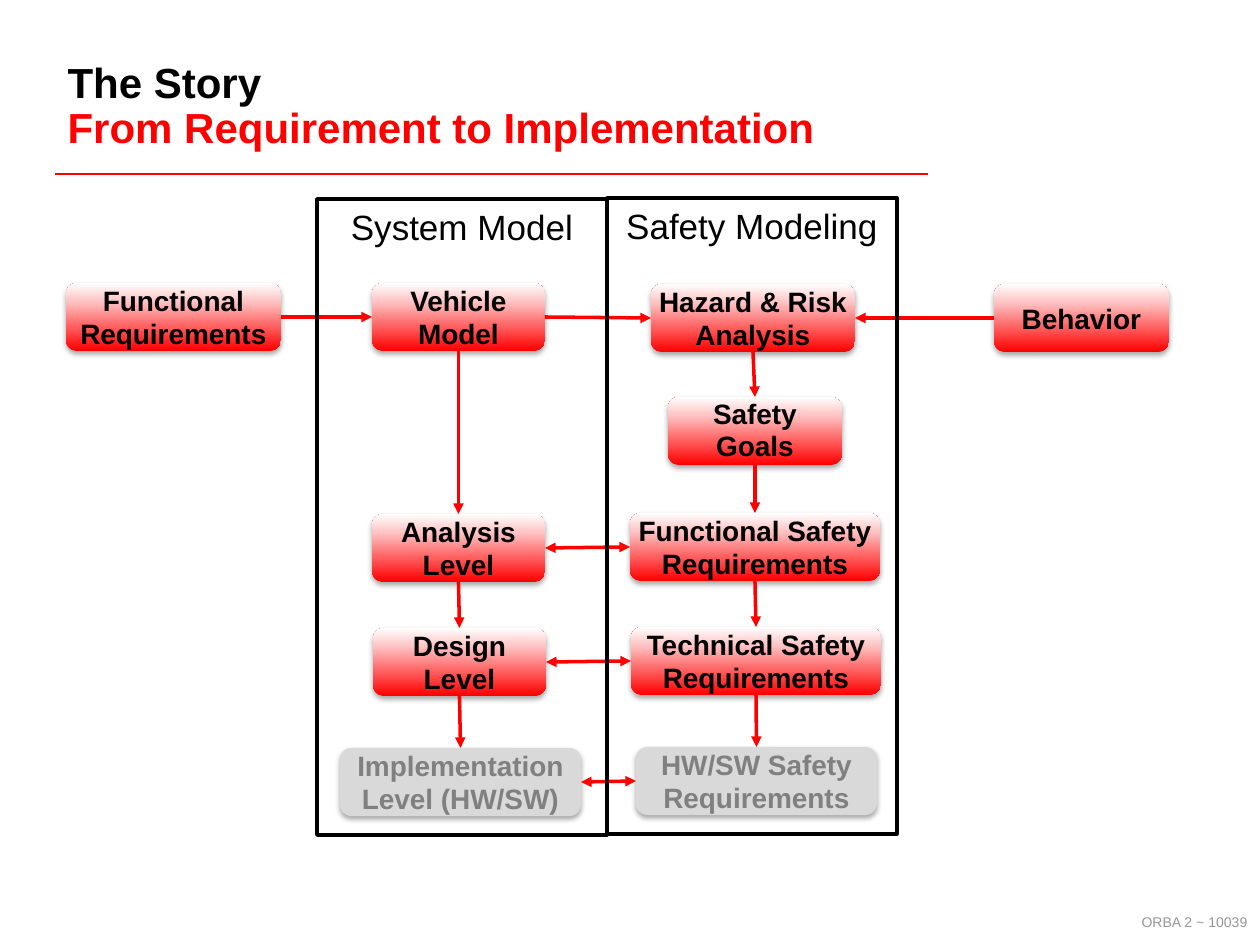
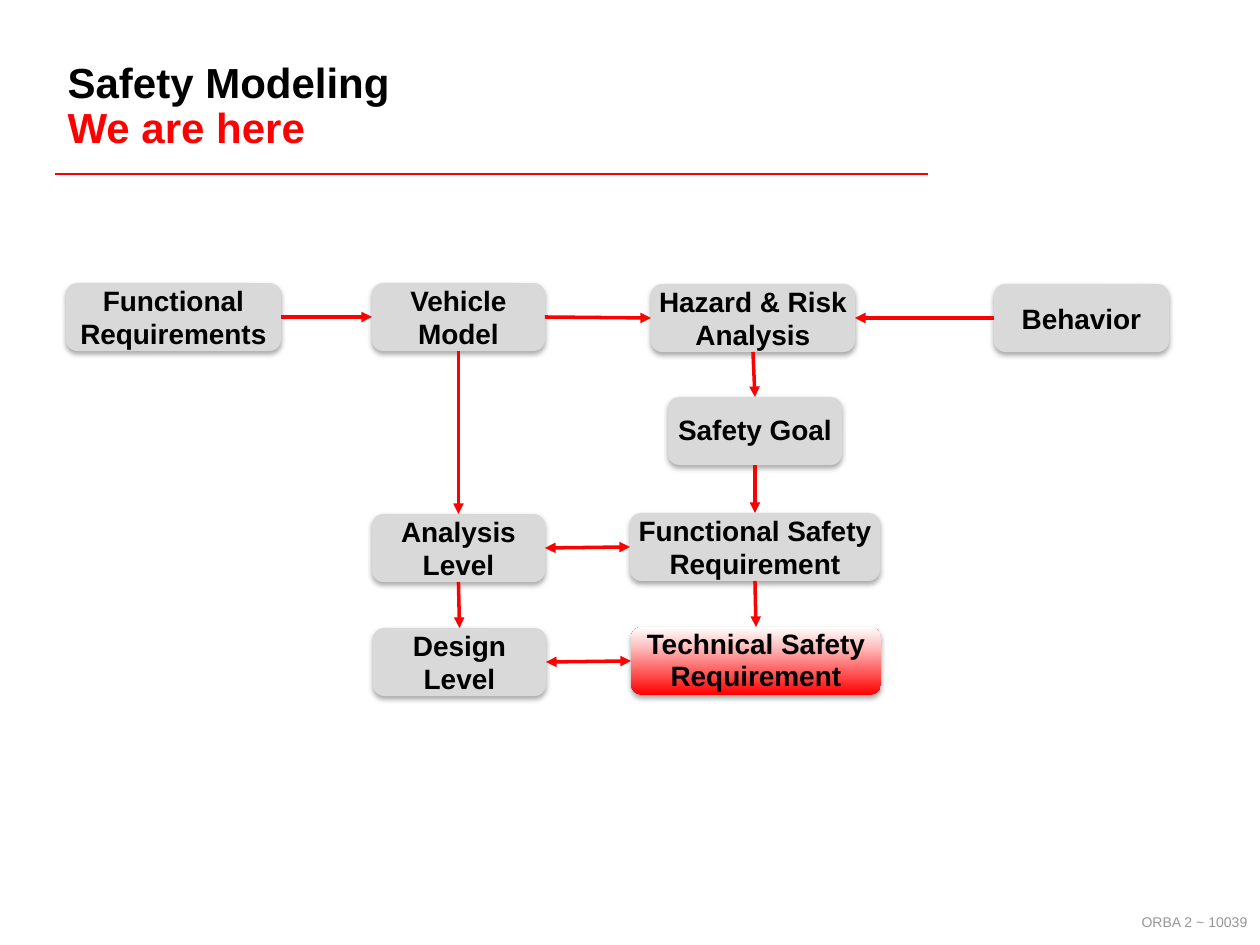
from copy import deepcopy
from dataclasses import dataclass, replace
from enum import Enum

from lxml import etree
from pptx import Presentation
from pptx.dml.color import RGBColor
from pptx.enum.shapes import MSO_CONNECTOR, MSO_SHAPE
from pptx.enum.text import MSO_ANCHOR, MSO_AUTO_SIZE, PP_ALIGN
from pptx.oxml.ns import qn
from pptx.util import Emu, Pt

STRAIGHT = MSO_CONNECTOR.STRAIGHT
RECTANGLE, ROUNDED = MSO_SHAPE.RECTANGLE, MSO_SHAPE.ROUNDED_RECTANGLE
TOP, MIDDLE, BOTTOM = MSO_ANCHOR.TOP, MSO_ANCHOR.MIDDLE, MSO_ANCHOR.BOTTOM
LEFT, CENTER, RIGHT = PP_ALIGN.LEFT, PP_ALIGN.CENTER, PP_ALIGN.RIGHT
NO_AUTOFIT = MSO_AUTO_SIZE.NONE

# Scale, font and colours shared by both slides
PX_PER_INCH = 126
SLIDE_WIDTH, SLIDE_HEIGHT = 1260, 945
BOX_HEIGHT = 68
FONT = "Arial"
TITLE_ONLY = 5
FOOTER = "ORBA 2 ~ 10039"

BLACK = RGBColor(0x00, 0x00, 0x00)
WHITE = RGBColor(0xFF, 0xFF, 0xFF)
RED = RGBColor(0xFF, 0x00, 0x00)
PINK = RGBColor(0xFE, 0xC8, 0xC8)
LIGHT_GRAY = RGBColor(0xD9, 0xD9, 0xD9)
TEXT_GRAY = RGBColor(0x80, 0x80, 0x80)
FOOTER_GRAY = RGBColor(0x96, 0x96, 0x96)
RED_GRADIENT = ((0, RED), (0.75, PINK), (1, WHITE))


class Style(Enum):
    ACTIVE = "red gradient, black text"
    PLAIN = "gray, black text"
    MUTED = "gray, gray text"


class Side(Enum):
    TOP = 0
    LEFT = 1
    BOTTOM = 2
    RIGHT = 3


@dataclass(frozen=True)
class Box:
    name: str
    left: int
    top: int
    width: int
    text: str
    style: Style = Style.ACTIVE
    line_spacing: float = 1.0


@dataclass(frozen=True)
class Arrow:
    start: str
    start_side: Side
    end: str
    end_side: Side
    two_way: bool = False


@dataclass(frozen=True)
class Frame:
    left: int
    top: int
    text: str


def down(start: str, end: str) -> Arrow:
    return Arrow(start, Side.BOTTOM, end, Side.TOP)


def across(start: str, end: str, two_way: bool = False) -> Arrow:
    return Arrow(start, Side.RIGHT, end, Side.LEFT, two_way)


# Flow that appears on both slides
FLOW_BOXES = (
    Box("goals", 668, 397, 174, "Safety Goals", line_spacing=0.95),
    Box("functional safety", 630, 513, 250, "Functional Safety Requirements"),
    Box("hazard", 651, 284, 204, "Hazard & Risk Analysis"),
    Box("requirements", 66, 283, 215, "Functional\nRequirements"),
    Box("vehicle", 372, 283, 173, "Vehicle\nModel"),
    Box("analysis", 372, 514, 173, "Analysis\nLevel"),
    Box("design", 373, 628, 173, "Design\nLevel"),
    Box("behavior", 994, 284, 175, "Behavior"),
    Box("technical safety", 631, 627, 250, "Technical Safety Requirements"),
)
FLOW_ARROWS = (
    down("hazard", "goals"),
    down("goals", "functional safety"),
    down("functional safety", "technical safety"),
    down("vehicle", "analysis"),
    down("analysis", "design"),
    across("requirements", "vehicle"),
    across("vehicle", "hazard"),
    Arrow("behavior", Side.LEFT, "hazard", Side.RIGHT),
    across("analysis", "functional safety", two_way=True),
    across("design", "technical safety", two_way=True),
)

# Implementation row and frames of the first slide
IMPLEMENTATION_BOXES = (
    Box("implementation", 340, 748, 241, "Implementation Level (HW/SW)", Style.MUTED),
    Box("hw/sw", 636, 747, 241, "HW/SW Safety Requirements", Style.MUTED),
)
IMPLEMENTATION_ARROWS = (
    down("design", "implementation"),
    down("technical safety", "hw/sw"),
    across("implementation", "hw/sw", two_way=True),
)
FRAMES = (Frame(317, 199, "System Model"), Frame(607, 198, "Safety Modeling"))
FRAME_WIDTH, FRAME_HEIGHT = 290, 636

# Differences on the second slide
SINGULAR_TEXTS = {
    "goals": "Safety Goal",
    "functional safety": "Functional Safety Requirement",
}


def px(length: int) -> Emu:
    return Emu(round(length * 914400 / PX_PER_INCH))


def px_all(*lengths: int) -> list[Emu]:
    return [px(length) for length in lengths]


def set_font(font, size: int, color: RGBColor, bold: bool = False) -> None:
    font.name = FONT
    font.size = Pt(size)
    font.bold = bold
    font.color.rgb = color


def write_text(shape, text: str, size: int, color: RGBColor, align: PP_ALIGN,
               anchor: MSO_ANCHOR, bold: bool = False, spacing: float = 1.0) -> None:
    frame = shape.text_frame
    frame.text = text
    frame.word_wrap = True
    frame.vertical_anchor = anchor
    for paragraph in frame.paragraphs:
        paragraph.alignment = align
        paragraph.line_spacing = spacing
        set_font(paragraph.font, size, color, bold)


def add_line(slide, start: tuple[int, int], end: tuple[int, int], width: float):
    line = slide.shapes.add_connector(STRAIGHT, *px_all(*start, *end))
    line.line.color.rgb = RED
    line.line.width = Pt(width)
    etree.SubElement(line.element.spPr, qn("a:effectLst"))
    return line


def add_soft_shadow(shape) -> None:
    shape.shadow.inherit = False
    effects = shape.element.spPr.find(qn("a:effectLst"))
    shadow = etree.SubElement(effects, qn("a:outerShdw"), blurRad="40000",
                              dist="23000", dir="5400000", rotWithShape="0")
    color = etree.SubElement(shadow, qn("a:srgbClr"), val=str(BLACK))
    etree.SubElement(color, qn("a:alpha"), val="35000")


def fill_red_gradient(shape) -> None:
    shape.fill.gradient()
    shape.fill.gradient_angle = 90
    stop_list = next(shape.element.spPr.iter(qn("a:gsLst")))
    stop_list.append(deepcopy(stop_list[0]))
    for stop, (position, color) in zip(shape.fill.gradient_stops, RED_GRADIENT):
        stop.position = position
        stop.color.rgb = color


def add_box(slide, box: Box):
    shape = slide.shapes.add_shape(
        ROUNDED, *px_all(box.left, box.top, box.width, BOX_HEIGHT))
    if box.style is Style.ACTIVE:
        fill_red_gradient(shape)
    else:
        shape.fill.solid()
        shape.fill.fore_color.rgb = LIGHT_GRAY
    shape.line.fill.background()
    add_soft_shadow(shape)
    frame = shape.text_frame
    frame.margin_left = frame.margin_right = frame.margin_top = frame.margin_bottom = 0
    color = TEXT_GRAY if box.style is Style.MUTED else BLACK
    write_text(shape, box.text, 16, color, CENTER, MIDDLE, True, box.line_spacing)
    return shape


def add_arrow(slide, arrow: Arrow, shapes: dict) -> None:
    connector = add_line(slide, (0, 0), (0, 0), 2)
    connector.begin_connect(shapes[arrow.start], arrow.start_side.value)
    connector.end_connect(shapes[arrow.end], arrow.end_side.value)
    line = connector.element.spPr.find(qn("a:ln"))
    for tag in ("a:headEnd", "a:tailEnd") if arrow.two_way else ("a:tailEnd",):
        etree.SubElement(line, qn(tag), type="triangle")


def add_flow(slide, boxes: tuple[Box, ...], arrows: tuple[Arrow, ...]) -> None:
    shapes = {box.name: add_box(slide, box) for box in boxes}
    for arrow in arrows:
        add_arrow(slide, arrow, shapes)


def add_frame(slide, frame: Frame) -> None:
    shape = slide.shapes.add_shape(
        RECTANGLE, *px_all(frame.left, frame.top, FRAME_WIDTH, FRAME_HEIGHT))
    shape.fill.background()
    shape.line.color.rgb = BLACK
    shape.line.width = Pt(2)
    shape.shadow.inherit = False
    write_text(shape, frame.text, 20, BLACK, CENTER, TOP)
    shape.text_frame.word_wrap = False


def add_titled_slide(presentation, heading: str, subheading: str):
    slide = presentation.slides.add_slide(presentation.slide_layouts[TITLE_ONLY])

    # Footer and rule
    footer = slide.shapes.add_textbox(*px_all(1095, 907, 165, 29))
    write_text(footer, FOOTER, 8, FOOTER_GRAY, RIGHT, BOTTOM)
    add_line(slide, (55, 174), (928, 174), 1.5)

    # Two-colour title
    title = slide.shapes.title
    title.left, title.top, title.width, title.height = px_all(55, 42, 871, 117)
    frame = title.text_frame
    frame.auto_size = NO_AUTOFIT
    frame.vertical_anchor = BOTTOM
    paragraph = frame.paragraphs[0]
    paragraph.alignment = LEFT
    paragraph.line_spacing = 0.9
    for text, color in ((heading, BLACK), (subheading, RED)):
        if paragraph.runs:
            paragraph.add_line_break()
        run = paragraph.add_run()
        run.text = text
        set_font(run.font, 24, color, True)
    return slide


def add_story_slide(presentation) -> None:
    slide = add_titled_slide(presentation, "The Story",
                             "From Requirement to Implementation")
    add_flow(slide, FLOW_BOXES + IMPLEMENTATION_BOXES,
             FLOW_ARROWS + IMPLEMENTATION_ARROWS)
    for frame in FRAMES:
        add_frame(slide, frame)


def add_position_slide(presentation) -> None:
    slide = add_titled_slide(presentation, "Safety Modeling", "We are here")
    boxes = []
    for box in FLOW_BOXES:
        if box.name == "technical safety":
            boxes.append(replace(box, text="Technical Safety Requirement",
                                 line_spacing=0.95))
        else:
            text = SINGULAR_TEXTS.get(box.name, box.text)
            boxes.append(replace(box, text=text, style=Style.PLAIN))
    add_flow(slide, tuple(boxes), FLOW_ARROWS)


def main() -> None:
    presentation = Presentation()
    presentation.slide_width, presentation.slide_height = px_all(SLIDE_WIDTH, SLIDE_HEIGHT)
    add_story_slide(presentation)
    add_position_slide(presentation)
    presentation.save("out.pptx")


if __name__ == "__main__":
    main()
